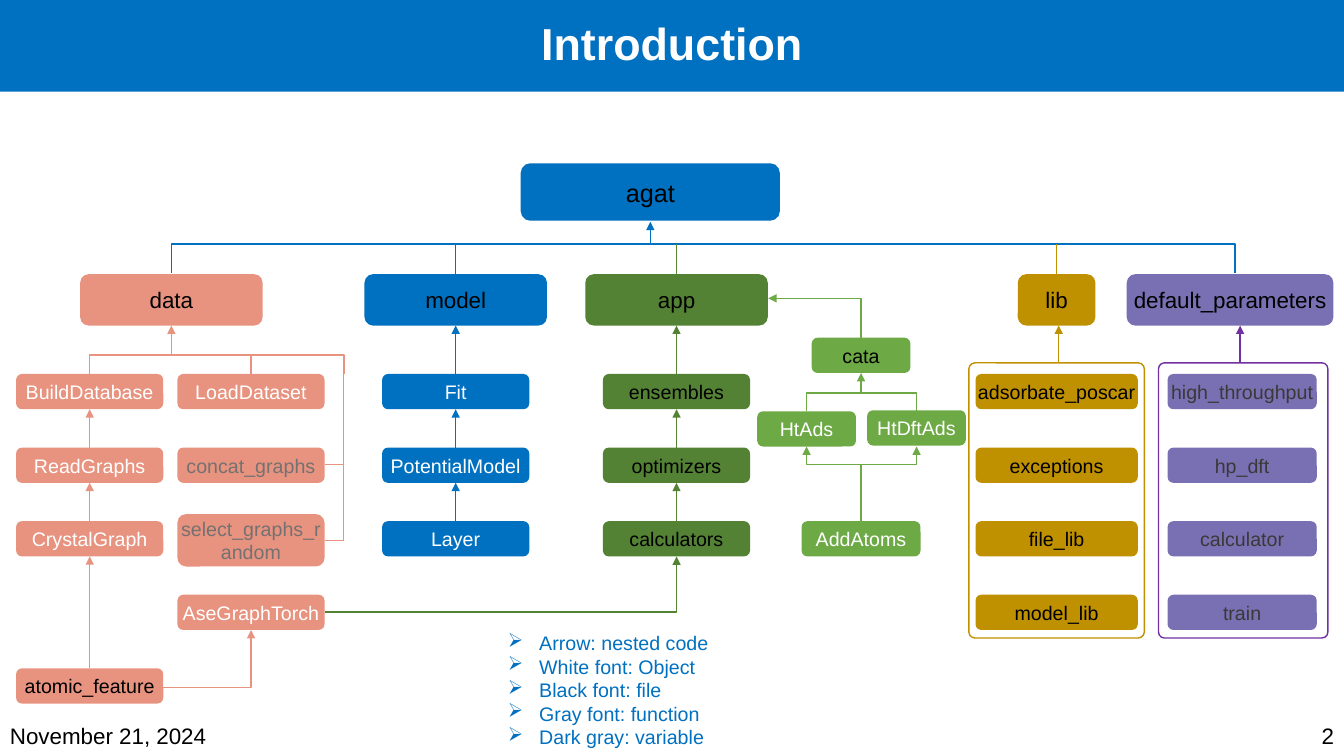
from lxml.etree import SubElement
from pptx import Presentation
from pptx.dml.color import RGBColor
from pptx.enum.shapes import MSO_CONNECTOR, MSO_SHAPE
from pptx.enum.text import MSO_ANCHOR, MSO_AUTO_SIZE, PP_ALIGN
from pptx.oxml.ns import qn
from pptx.util import Inches, Pt

BLUE = RGBColor(0x00, 0x70, 0xC0)
SALMON = RGBColor(0xE7, 0x93, 0x7F)
GREEN = RGBColor(0x54, 0x82, 0x35)
LIGHT_GREEN = RGBColor(0x6D, 0xA9, 0x45)
GOLD = RGBColor(0xBF, 0x90, 0x00)
LAVENDER = RGBColor(0x79, 0x70, 0xB3)
PURPLE = RGBColor(0x70, 0x30, 0xA0)
# Font colours name the kind of code
OBJECT = RGBColor(0xFF, 0xFF, 0xFF)
FILE = RGBColor(0x00, 0x00, 0x00)
FUNCTION = RGBColor(0x76, 0x71, 0x71)
VARIABLE = RGBColor(0x3B, 0x38, 0x38)

SLIDE_WIDTH, SLIDE_HEIGHT = 13.33, 7.5
FONT = "Arial"

# Column centres and row tops of the diagram
DATA_LEFT, DATA_MIDDLE, DATA_RIGHT = 0.89, 2.49, 3.41
DATA, MODEL, AGAT, APP, CATA, LIB, DEFAULTS = 1.7, 4.52, 6.45, 6.71, 8.54, 10.48, 12.32
HT_ADS, HT_DFT_ADS = CATA - 0.54, CATA + 0.55
ROWS = [round(3.71 + 0.73 * index, 2) for index in range(5)]
BOX_WIDTH, BOX_HEIGHT = 1.46, 0.35
PACKAGE_TOP, PACKAGE_HEIGHT = 2.72, 0.51
PACKAGE_BOTTOM = PACKAGE_TOP + PACKAGE_HEIGHT
BUS, DATA_BUS, CATA_BUS, ADS_BUS = 2.42, 3.52, 3.9, 4.61
FRAME_TOP, FRAME_HEIGHT = 3.6, 2.73


def style_text(paragraph, size, color, alignment=PP_ALIGN.LEFT):
    paragraph.alignment = alignment
    paragraph.font.name = FONT
    paragraph.font.size = Pt(size)
    paragraph.font.color.rgb = color


def add_box(slide, text, center, top, fill, color=FILE, width=BOX_WIDTH,
            height=BOX_HEIGHT, size=14):
    box = slide.shapes.add_shape(
        MSO_SHAPE.ROUNDED_RECTANGLE, Inches(center - width / 2), Inches(top),
        Inches(width), Inches(height))
    box.shadow.inherit = False
    box.fill.solid()
    box.fill.fore_color.rgb = fill
    box.line.fill.background()
    frame = box.text_frame
    frame.margin_left = frame.margin_right = frame.margin_top = frame.margin_bottom = 0
    frame.vertical_anchor = MSO_ANCHOR.MIDDLE
    frame.word_wrap = True
    frame.text = text
    style_text(frame.paragraphs[0], size, color, PP_ALIGN.CENTER)


def add_package(slide, text, center, fill, width=1.81):
    add_box(slide, text, center, PACKAGE_TOP, fill, width=width,
            height=PACKAGE_HEIGHT, size=16)


def add_frame(slide, center, width, color):
    frame = slide.shapes.add_shape(
        MSO_SHAPE.ROUNDED_RECTANGLE, Inches(center - width / 2), Inches(FRAME_TOP),
        Inches(width), Inches(FRAME_HEIGHT))
    frame.adjustments[0] = 0.035
    frame.shadow.inherit = False
    frame.fill.background()
    frame.line.color.rgb = color
    frame.line.width = Pt(1)


def add_path(slide, points, color, ends=()):
    """Draw a straight or bent line; ends lists headEnd and tailEnd arrows."""
    corners = [(Inches(x), Inches(y)) for x, y in points]
    if len(corners) == 2:
        shape = slide.shapes.add_connector(MSO_CONNECTOR.STRAIGHT, *corners[0], *corners[1])
    else:
        builder = slide.shapes.build_freeform(*corners[0])
        builder.add_line_segments(corners[1:], close=False)
        shape = builder.convert_to_shape()
        shape.fill.background()
    shape.line.color.rgb = color
    shape.line.width = Pt(1)
    properties = shape.element.spPr
    for end in ends:
        SubElement(properties.find(qn("a:ln")), qn(f"a:{end}"), type="triangle")
    SubElement(properties, qn("a:effectLst"))


def add_arrow(slide, points, color):
    add_path(slide, points, color, ("tailEnd",))


def add_rise(slide, center, bottom, top, color):
    add_arrow(slide, [(center, bottom), (center, top)], color)


def add_stack(slide, center, names, fill, color, width=BOX_WIDTH, chained=False):
    for index, (name, top) in enumerate(zip(names, ROWS)):
        add_box(slide, name, center, top, fill, color, width)
        if chained and index:
            add_rise(slide, center, top, ROWS[index - 1] + BOX_HEIGHT, fill)


def add_text(slide, lines, left, top, width, height, size, color, alignment=PP_ALIGN.LEFT):
    box = slide.shapes.add_textbox(Inches(left), Inches(top), Inches(width), Inches(height))
    frame = box.text_frame
    frame.text = "\n".join(lines)
    for paragraph in frame.paragraphs:
        style_text(paragraph, size, color, alignment)
    return frame


def add_title(slide):
    band = slide.shapes.add_shape(
        MSO_SHAPE.RECTANGLE, 0, 0, Inches(SLIDE_WIDTH), Inches(0.91))
    band.shadow.inherit = False
    band.fill.solid()
    band.fill.fore_color.rgb = BLUE
    band.line.fill.background()
    title = slide.shapes.title
    title.element.addprevious(band.element)
    title.left, title.top = 0, 0
    title.width, title.height = Inches(SLIDE_WIDTH), Inches(0.92)
    frame = title.text_frame
    frame.text = "Introduction"
    frame.auto_size = MSO_AUTO_SIZE.NONE
    frame.vertical_anchor = MSO_ANCHOR.MIDDLE
    paragraph = frame.paragraphs[0]
    style_text(paragraph, 32, OBJECT, PP_ALIGN.CENTER)
    paragraph.font.bold = True
    paragraph.line_spacing = 0.9


def add_legend(slide):
    frame = add_text(slide, ["Arrow: nested code", "White font: Object", "Black font: file",
                             "Gray font: function", "Dark gray: variable"],
                     4.94, 6.21, 2.2, 1.51, 14, BLUE)
    frame.word_wrap = False
    for paragraph in frame.paragraphs:
        properties = paragraph._p.get_or_add_pPr()
        properties.set("marL", str(Inches(0.31)))
        properties.set("indent", str(-Inches(0.31)))
        bullet = SubElement(properties, qn("a:buChar"), char="➢")
        properties.insert(0, bullet)


def add_packages(slide):
    add_box(slide, "agat", AGAT, 1.62, BLUE, width=2.57, height=0.57, size=18)
    add_path(slide, [(DATA, 2.71), (DATA, BUS), (12.25, BUS), (12.25, 2.71)], BLUE)
    add_rise(slide, AGAT, BUS, 2.2, BLUE)
    for center, color in ((MODEL, BLUE), (APP, GREEN), (LIB, GOLD)):
        add_path(slide, [(center, PACKAGE_TOP), (center, BUS)], color)
    add_package(slide, "data", DATA, SALMON)
    add_package(slide, "model", MODEL, BLUE)
    add_package(slide, "app", APP, GREEN)
    add_package(slide, "lib", LIB, GOLD, 0.77)
    add_package(slide, "default_parameters", 12.2, LAVENDER, 2.05)


def add_data_branch(slide):
    add_stack(slide, DATA_LEFT, ["BuildDatabase", "ReadGraphs", "CrystalGraph"],
              SALMON, OBJECT, chained=True)
    add_box(slide, "atomic_feature", DATA_LEFT, ROWS[4], SALMON)
    add_box(slide, "LoadDataset", DATA_MIDDLE, ROWS[0], SALMON, OBJECT)
    add_box(slide, "concat_graphs", DATA_MIDDLE, ROWS[1], SALMON, FUNCTION)
    add_box(slide, "select_graphs_random", DATA_MIDDLE, 5.1, SALMON, FUNCTION, height=0.52)
    add_box(slide, "AseGraphTorch", DATA_MIDDLE, ROWS[3], SALMON, OBJECT)
    add_rise(slide, DATA, DATA_BUS, PACKAGE_BOTTOM, SALMON)
    add_rise(slide, DATA_LEFT, ROWS[4], ROWS[2] + BOX_HEIGHT, SALMON)
    add_path(slide, [(DATA_LEFT, ROWS[0]), (DATA_LEFT, DATA_BUS),
                     (DATA_RIGHT, DATA_BUS), (DATA_RIGHT, ROWS[0])], SALMON)
    add_path(slide, [(DATA_MIDDLE, ROWS[0]), (DATA_MIDDLE, DATA_BUS)], SALMON)
    add_path(slide, [(DATA_RIGHT, 5.36), (DATA_RIGHT, ROWS[0])], SALMON)
    for height in (4.61, 5.36):
        add_path(slide, [(3.22, height), (DATA_RIGHT, height)], SALMON)
    add_arrow(slide, [(1.62, 6.82), (DATA_MIDDLE, 6.82), (DATA_MIDDLE, 6.25)], SALMON)
    add_arrow(slide, [(3.22, 6.07), (APP, 6.07), (APP, ROWS[2] + BOX_HEIGHT)], GREEN)


def add_cata_branch(slide):
    add_box(slide, "cata", CATA, 3.35, LIGHT_GREEN, width=0.98)
    add_box(slide, "HtAds", HT_ADS, 4.08, LIGHT_GREEN, OBJECT, 0.98)
    add_box(slide, "HtDftAds", HT_DFT_ADS, 4.07, LIGHT_GREEN, OBJECT, 0.98)
    add_box(slide, "AddAtoms", CATA, ROWS[2], LIGHT_GREEN, OBJECT, 1.18)
    for edge, bus, ends in ((4.08, CATA_BUS, ()), (4.43, ADS_BUS, ("headEnd", "tailEnd"))):
        add_path(slide, [(HT_ADS, edge), (HT_ADS, bus), (HT_DFT_ADS, bus),
                         (HT_DFT_ADS, edge)], LIGHT_GREEN, ends)
    add_rise(slide, CATA, CATA_BUS, 3.7, LIGHT_GREEN)
    add_path(slide, [(CATA, ROWS[2]), (CATA, ADS_BUS)], LIGHT_GREEN)
    add_arrow(slide, [(CATA, 3.36), (CATA, 2.96), (7.62, 2.96)], LIGHT_GREEN)


def main():
    presentation = Presentation()
    presentation.slide_width = Inches(SLIDE_WIDTH)
    presentation.slide_height = Inches(SLIDE_HEIGHT)
    slide = presentation.slides.add_slide(presentation.slide_layouts[5])
    add_title(slide)
    add_packages(slide)
    add_data_branch(slide)
    # Model and app chains
    for center, color, font_color, names in (
            (MODEL, BLUE, OBJECT, ["Fit", "PotentialModel", "Layer"]),
            (APP, GREEN, FILE, ["ensembles", "optimizers", "calculators"])):
        add_stack(slide, center, names, color, font_color, chained=True)
        add_rise(slide, center, ROWS[0], PACKAGE_BOTTOM, color)
    add_cata_branch(slide)
    # Framed lists of library files and default parameters
    add_stack(slide, LIB, ["adsorbate_poscar", "exceptions", "file_lib", "model_lib"],
              GOLD, FILE, 1.61)
    add_stack(slide, DEFAULTS, ["high_throughput", "hp_dft", "calculator", "train"],
              LAVENDER, VARIABLE, 1.48)
    for center, width, color, arrow in ((LIB, 1.74, GOLD, 10.5), (12.33, 1.68, PURPLE, 12.3)):
        add_frame(slide, center, width, color)
        add_rise(slide, arrow, FRAME_TOP, PACKAGE_BOTTOM, color)
    add_legend(slide)
    # Date and slide number
    for text, left, width, alignment in (("November 21, 2024", 0, 2.48, PP_ALIGN.LEFT),
                                         ("2", 12.58, 0.75, PP_ALIGN.RIGHT)):
        frame = add_text(slide, [text], left, 7.1, width, 0.4, 16, FILE, alignment)
        frame.vertical_anchor = MSO_ANCHOR.MIDDLE
        frame.word_wrap = True
    presentation.save("out.pptx")


if __name__ == "__main__":
    main()
